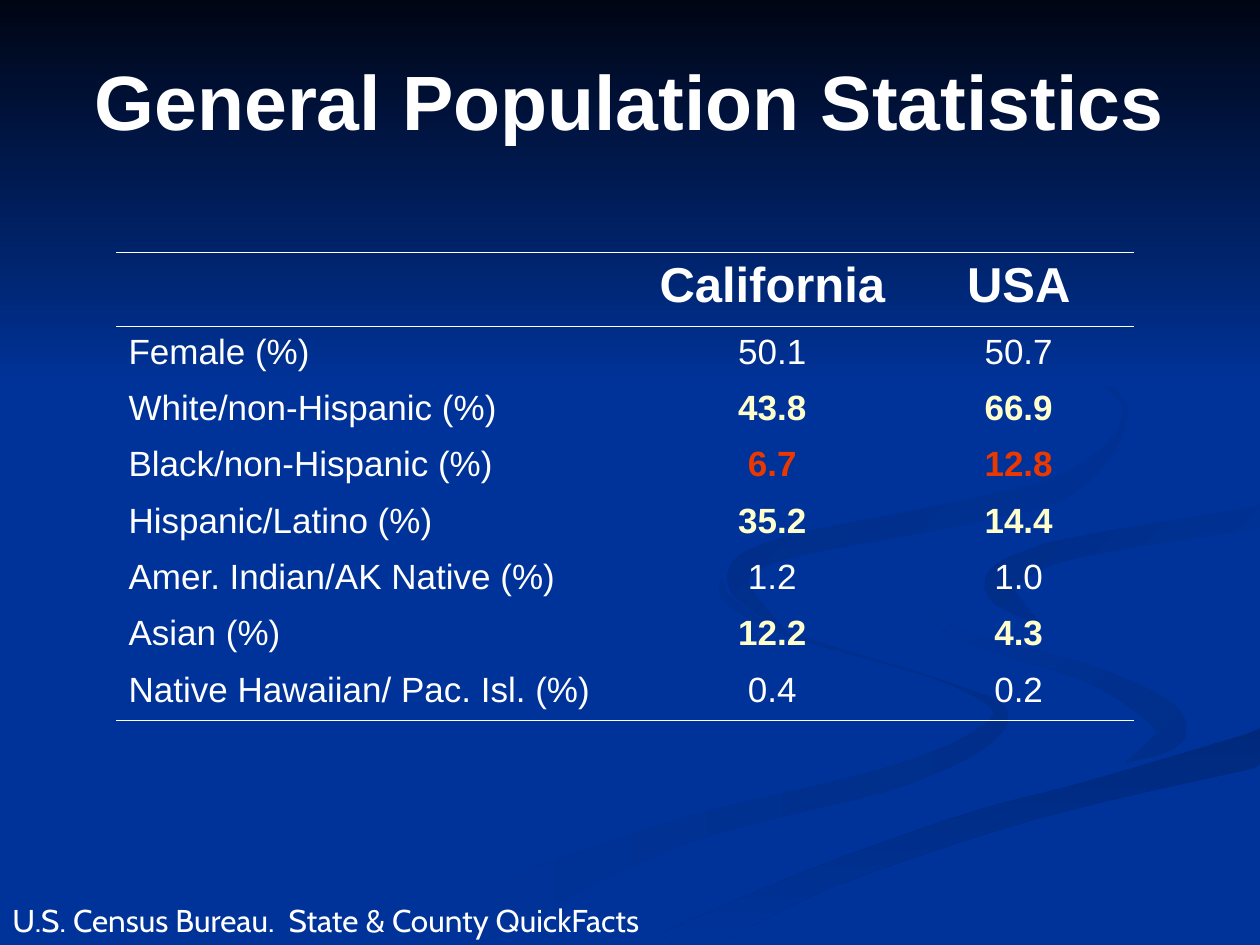
"""Build the General Population Statistics slide: a table over a ribboned blue background."""
from math import hypot

from lxml.etree import SubElement
from pptx import Presentation
from pptx.dml.color import RGBColor as RGB
from pptx.enum.shapes import MSO_SHAPE as SHAPE
from pptx.enum.text import MSO_ANCHOR as ANCHOR, PP_ALIGN as ALIGN
from pptx.oxml.ns import qn
from pptx.util import Inches, Pt

WHITE = RGB(0xFF, 0xFF, 0xFF)
CREAM = RGB(0xFF, 0xFF, 0xCC)
RED = RGB(0xEA, 0x38, 0x00)
BLUE = RGB(0x00, 0x33, 0x99)
NIGHT = RGB(0x00, 0x05, 0x14)
SOFT_SHADE = RGB(0x00, 0x2E, 0x8A)
DEEP_SHADE = RGB(0x00, 0x29, 0x7C)
EDGE_SHADE = RGB(0x00, 0x2C, 0x85)
LOOP_SHADE = RGB(0x00, 0x2B, 0x81)

SLIDE_W, SLIDE_H = 10, 7.5
STEPS = 8

LONG_SWEEP = [(5.73, 4.6, 0.01), (5.78, 4.76, 0.06), (6.25, 5.03, 0.03), (7.55, 5.43, 0.02),
              (7.93, 5.72, 0.14), (7.18, 6.14, 0.18), (5.26, 6.65, 0.21), (3.3, 7.5, 0.5)]
RIGHT_HOOK = [(7.24, 4.66, 0.01), (7.58, 5.02, 0.07), (8.7, 5.37, 0.14),
              (9.3, 5.77, 0.25), (8.94, 6.05, 0.01)]
LOWER_BAND = [(5.3, 7.55, 0.3), (6.4, 7.02, 0.2), (7.68, 6.56, 0.2),
              (8.7, 6.28, 0.19), (10.2, 5.89, 0.3)]
EDGE_CURL = [(10.1, 4.09, 0.18), (8.72, 4.31, 0.16), (8.2, 4.45, 0.19),
             (7.93, 4.66, 0.23), (8.26, 4.96, 0.01)]
UPPER_LOOP = [(7.62, 2.33, 0.01), (8.75, 3.03, 0.04), (8.91, 3.38, 0.05), (8.48, 3.84, 0.18),
              (7.64, 4.07, 0.19), (6.2, 4.36, 0.17), (5.86, 4.62, 0.17), (6.22, 5, 0.01)]
RIBBONS = [
    (LONG_SWEEP, SOFT_SHADE, BLUE, 180),
    (RIGHT_HOOK, SOFT_SHADE, BLUE, 225),
    (LOWER_BAND, DEEP_SHADE, BLUE, 90),
    (EDGE_CURL, BLUE, EDGE_SHADE, 225),
    (UPPER_LOOP, BLUE, LOOP_SHADE, 225),
]

ROWS = [
    ("", "California", "USA", WHITE),
    ("Female (%)", "50.1", "50.7", WHITE),
    ("White/non-Hispanic (%)", "43.8", "66.9", CREAM),
    ("Black/non-Hispanic (%)", "6.7", "12.8", RED),
    ("Hispanic/Latino (%)", "35.2", "14.4", CREAM),
    ("Amer. Indian/AK Native (%)", "1.2", "1.0", WHITE),
    ("Asian (%)", "12.2", "4.3", CREAM),
    ("Native Hawaiian/ Pac. Isl. (%)", "0.4", "0.2", WHITE),
]
COL_WIDTHS = [4.17, 2.08, 1.83]
TABLE_H, HEADER_H = 3.72, 0.59
ROW_H = (TABLE_H - HEADER_H) / (len(ROWS) - 1)


def shade(sp, start, end, angle):
    """Fill a shape with a gradient, angle counted clockwise, and no outline."""
    sp.shadow.inherit = False
    sp.line.fill.background()
    sp.fill.gradient()
    sp.fill.gradient_angle = 360 - angle
    for stop, color in zip(sp.fill.gradient_stops, (start, end)):
        stop.color.rgb = color


def write(tf, text, size, color, bold=False, align=ALIGN.LEFT, font="Arial"):
    """Set one formatted paragraph."""
    tf.text = text
    p = tf.paragraphs[0]
    p.alignment = align
    for r in p.runs:
        r.font.name, r.font.size, r.font.bold = font, Pt(size), bold
        r.font.color.rgb = color


prs = Presentation()
prs.slide_width, prs.slide_height = W, H = Inches(SLIDE_W), Inches(SLIDE_H)
s = prs.slides.add_slide(prs.slide_layouts[5])
s.background.fill.solid()
s.background.fill.fore_color.rgb = BLUE

for stations, start, end, angle in RIBBONS:
    padded = [stations[0], *stations, stations[-1]]
    spine = []
    for a, b, c, d in zip(padded, padded[1:], padded[2:], padded[3:]):
        for t in (k / STEPS for k in range(STEPS)):
            spine.append([q + t / 2 * (r - p + t * (2*p - 5*q + 4*r - u + t * (3*q - p - 3*r + u)))
                          for p, q, r, u in zip(a, b, c, d)])
    spine.append(stations[-1])
    left_edge, right_edge = [], []
    for i, (x, y, thickness) in enumerate(spine):
        before, after = spine[max(i - 1, 0)], spine[min(i + 1, len(spine) - 1)]
        dx, dy = after[0] - before[0], after[1] - before[1]
        half = thickness / 2 / hypot(dx, dy)
        for edge, sign in ((left_edge, 1), (right_edge, -1)):
            edge.append((Inches(min(x - sign * half * dy, SLIDE_W)),
                         Inches(min(y + sign * half * dx, SLIDE_H))))
    outline = left_edge + right_edge[::-1]
    builder = s.shapes.build_freeform(*outline[0])
    builder.add_line_segments(outline[1:], close=True)
    shade(builder.convert_to_shape(), start, end, angle)

band = s.shapes.add_shape(SHAPE.RECTANGLE, 0, 0, W, int(H * 0.41))
shade(band, NIGHT, BLUE, 90)

title = s.shapes.title
s.shapes.element.append(title.element)
title.left, title.top, title.width, title.height = int(W * 0.025), 0, int(W * 0.95), int(H * 0.21)
title.text_frame.vertical_anchor = ANCHOR.MIDDLE
write(title.text_frame, "General Population Statistics", 44, WHITE, True, ALIGN.CENTER)

table = s.shapes.add_table(len(ROWS), len(COL_WIDTHS), Inches(0.92), Inches(2),
                           Inches(sum(COL_WIDTHS)), Inches(TABLE_H)).table
table.first_row = table.horz_banding = False
for column, width in zip(table.columns, COL_WIDTHS):
    column.width = Inches(width)
for i, (*texts, color) in enumerate(ROWS):
    is_header = i == 0
    table.rows[i].height = Inches(HEADER_H if is_header else ROW_H)
    ruled = {"lnT": i < 2, "lnB": i in (0, len(ROWS) - 1)}
    for j, text in enumerate(texts):
        is_value = j > 0
        cell = table.cell(i, j)
        write(cell.text_frame, text, 28 if is_header else 20, color if is_value else WHITE,
              is_header or (is_value and color != WHITE),
              ALIGN.CENTER if is_value else ALIGN.LEFT)
        tc_pr = cell._tc.get_or_add_tcPr()
        for side in ("lnL", "lnR", "lnT", "lnB"):
            ln = SubElement(tc_pr, qn(f"a:{side}"), w=str(Pt(0.45)))
            if ruled.get(side):
                fill = SubElement(ln, qn("a:solidFill"))
                SubElement(fill, qn("a:srgbClr"), val=str(WHITE))
            else:
                SubElement(ln, qn("a:noFill"))
        cell.fill.background()

source = s.shapes.add_textbox(0, Inches(7.1), Inches(5.58), Inches(0.7))
source.text_frame.word_wrap = True
write(source.text_frame, "U.S. Census Bureau.  State & County QuickFacts", 18, WHITE, font="Cabin")

prs.save("out.pptx")
